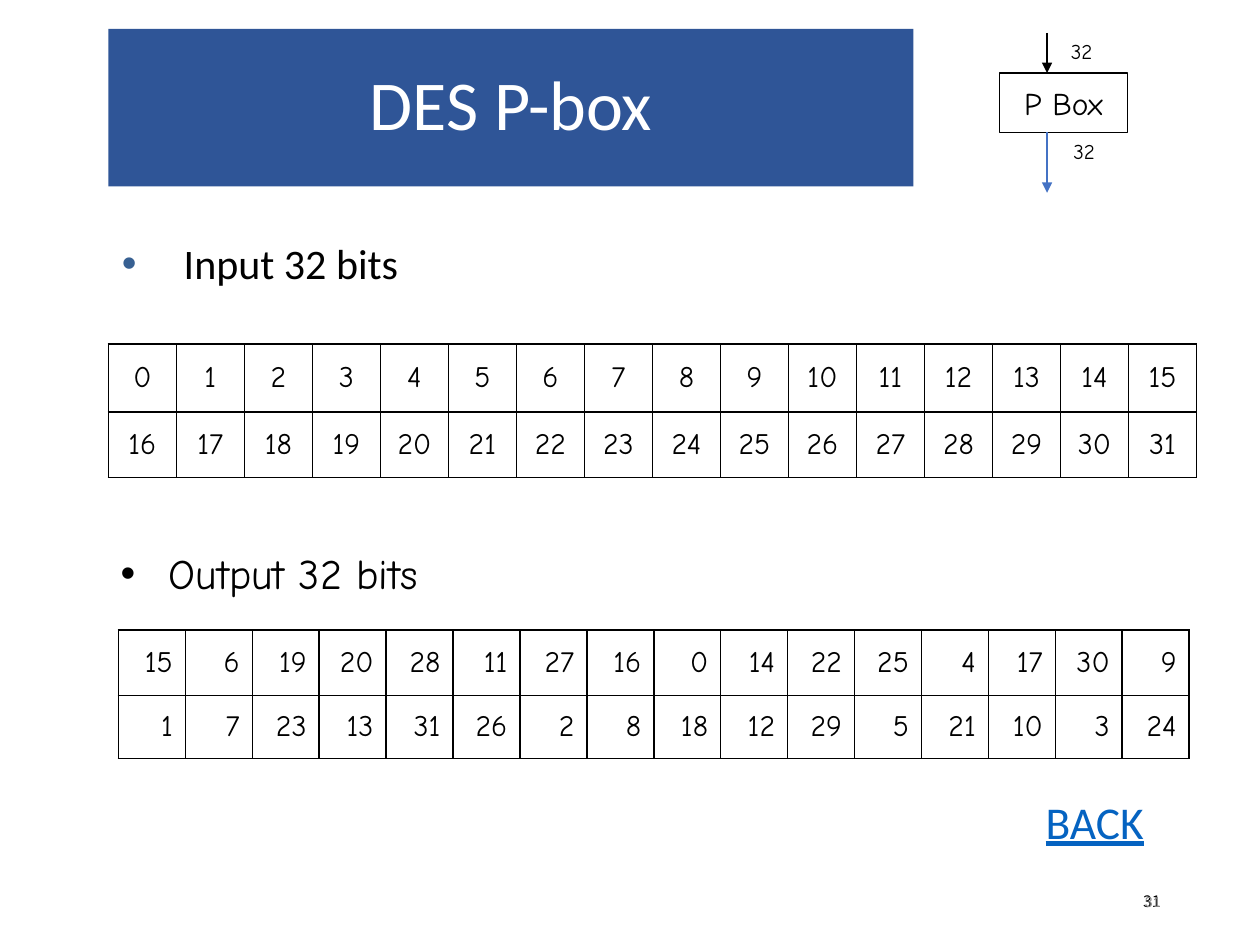
from lxml import etree
from pptx import Presentation
from pptx import util as u
from pptx.dml.color import RGBColor
from pptx.enum import shapes, text
from pptx.oxml.ns import qn

WIDTH, HEIGHT = u.Inches(10), u.Inches(7.5)
LEFT, MIDDLE, RIGHT = text.PP_ALIGN.LEFT, text.PP_ALIGN.CENTER, text.PP_ALIGN.RIGHT
COLS = 16
BLACK = "000000"
COMIC, CALIBRI = "Comic Neue", "Calibri"
INPUT_BITS = [range(COLS), range(COLS, 2 * COLS)]
OUTPUT_BITS = [
    [15, 6, 19, 20, 28, 11, 27, 16, 0, 14, 22, 25, 4, 17, 30, 9],
    [1, 7, 23, 13, 31, 26, 2, 8, 18, 12, 29, 5, 21, 10, 3, 24],
]


def color(hex_code):
    return RGBColor.from_string(hex_code)


def across(percent):
    return round(WIDTH * percent / 100)


def down(percent):
    return round(HEIGHT * percent / 100)


def area(x, y, w, h):
    """Turn percentages of the slide's size into left, top, width, height."""
    return across(x), down(y), across(w), down(h)


def write(tf, words, size, font=COMIC, ink=BLACK, align=LEFT, centred=False):
    tf.text = words
    tf.word_wrap = True
    if centred:
        tf.vertical_anchor = text.MSO_ANCHOR.MIDDLE
    p = tf.paragraphs[0]
    p.alignment = align
    f = p.runs[0].font
    f.size, f.name = u.Pt(size), font
    f.color.rgb = color(ink)
    return p


def add_text(s, box, words, size, **style):
    tb = s.shapes.add_textbox(*area(*box))
    return write(tb.text_frame, words, size, **style)


def add_box(s, box, words, size, fill=None, line=None, **style):
    sp = s.shapes.add_shape(shapes.MSO_SHAPE.RECTANGLE, *area(*box))
    sp.shadow.inherit = False
    if fill:
        sp.fill.solid()
        sp.fill.fore_color.rgb = color(fill)
    else:
        sp.fill.background()
    if line:
        sp.line.color.rgb = color(line)
        sp.line.width = u.Pt(0.75)
    else:
        sp.line.fill.background()
    return write(sp.text_frame, words, size, align=MIDDLE, centred=True, **style)


def add_bullet(p, ink, margin, hang):
    pPr = p._p.get_or_add_pPr()
    pPr.set("marL", str(u.Inches(margin)))
    pPr.set("indent", str(-u.Inches(hang)))
    clr = etree.SubElement(pPr, qn("a:buClr"))
    etree.SubElement(clr, qn("a:srgbClr"), val=ink)
    etree.SubElement(pPr, qn("a:buFont"), typeface="Arial")
    etree.SubElement(pPr, qn("a:buChar"), char="•")


def add_borders(cell):
    tcPr = cell._tc.get_or_add_tcPr()
    for i, side in enumerate(("lnL", "lnR", "lnT", "lnB")):
        ln = etree.Element(qn(f"a:{side}"), w=str(u.Pt(1)))
        fill = etree.SubElement(ln, qn("a:solidFill"))
        etree.SubElement(fill, qn("a:srgbClr"), val=BLACK)
        tcPr.insert(i, ln)


def add_bit_table(s, x, y, w, row_heights, bits, align):
    frame = s.shapes.add_table(len(bits), COLS, *area(x, y, w, sum(row_heights)))
    table = frame.table
    table.first_row = table.horz_banding = False
    for column in table.columns:
        column.width = across(w / COLS)
    for row, height, values in zip(table.rows, row_heights, bits):
        row.height = down(height)
        for cell, bit in zip(row.cells, values):
            cell.fill.background()
            cell.vertical_anchor = text.MSO_ANCHOR.MIDDLE
            write(cell.text_frame, str(bit), 17, align=align)
            add_borders(cell)


def add_down_arrow(s, x, top, bottom, ink):
    line = s.shapes.add_connector(shapes.MSO_CONNECTOR.STRAIGHT, across(x),
                                  down(top), across(x), down(bottom))
    line.line.color.rgb = color(ink)
    line.line.width = u.Pt(0.75)
    etree.SubElement(line.line._get_or_add_ln(), qn("a:tailEnd"), type="triangle")
    etree.SubElement(line._element.spPr, qn("a:effectLst"))


def add_p_box_diagram(s):
    add_box(s, (79.3, 7.73, 10.2, 6.27), "P Box", 18, line=BLACK)
    for x, y in ((84, 3.47), (84.2, 14)):
        add_text(s, (x, y, 4.8, 4), "32", 12)
    add_down_arrow(s, 83.1, 3.47, 7.73, BLACK)
    add_down_arrow(s, 83.1, 14, 20.4, "4472C4")


def main():
    prs = Presentation()
    prs.slide_width, prs.slide_height = WIDTH, HEIGHT
    s = prs.slides.add_slide(prs.slide_layouts[6])

    title = add_box(s, (8.6, 3.07, 63.9, 16.67), "DES P-box", 40,
                    fill="2F5597", font=CALIBRI, ink="FFFFFF")
    title.line_spacing = 0.9

    heading = add_text(s, (8.6, 25.07, 40.5, 8.27), "Input 32 bits", 24, font=CALIBRI)
    heading.line_spacing = 0.9
    add_bullet(heading, "376092", 0.5, 0.49)
    add_bit_table(s, 8.6, 36.4, 86.4, (7.2, 6.93), INPUT_BITS, MIDDLE)

    heading = add_text(s, (8.6, 57.33, 41.4, 8.4), "Output 32 bits", 24)
    add_bullet(heading, BLACK, 0.38, 0.38)
    add_bit_table(s, 9.4, 66.67, 85, (6.93, 6.67), OUTPUT_BITS, RIGHT)

    add_p_box_diagram(s)

    back = add_text(s, (82, 83.33, 12.5, 7.33), "BACK", 26, font=CALIBRI, ink="0563C1")
    back.runs[0].font.underline = True
    for font, ink in (("Noto Sans CJK KR", BLACK), (CALIBRI, "898989")):
        add_text(s, (70.6, 92.67, 22.5, 5.33), "31", 9, font=font, ink=ink,
                 align=RIGHT, centred=True)

    prs.save("out.pptx")


if __name__ == "__main__":
    main()
